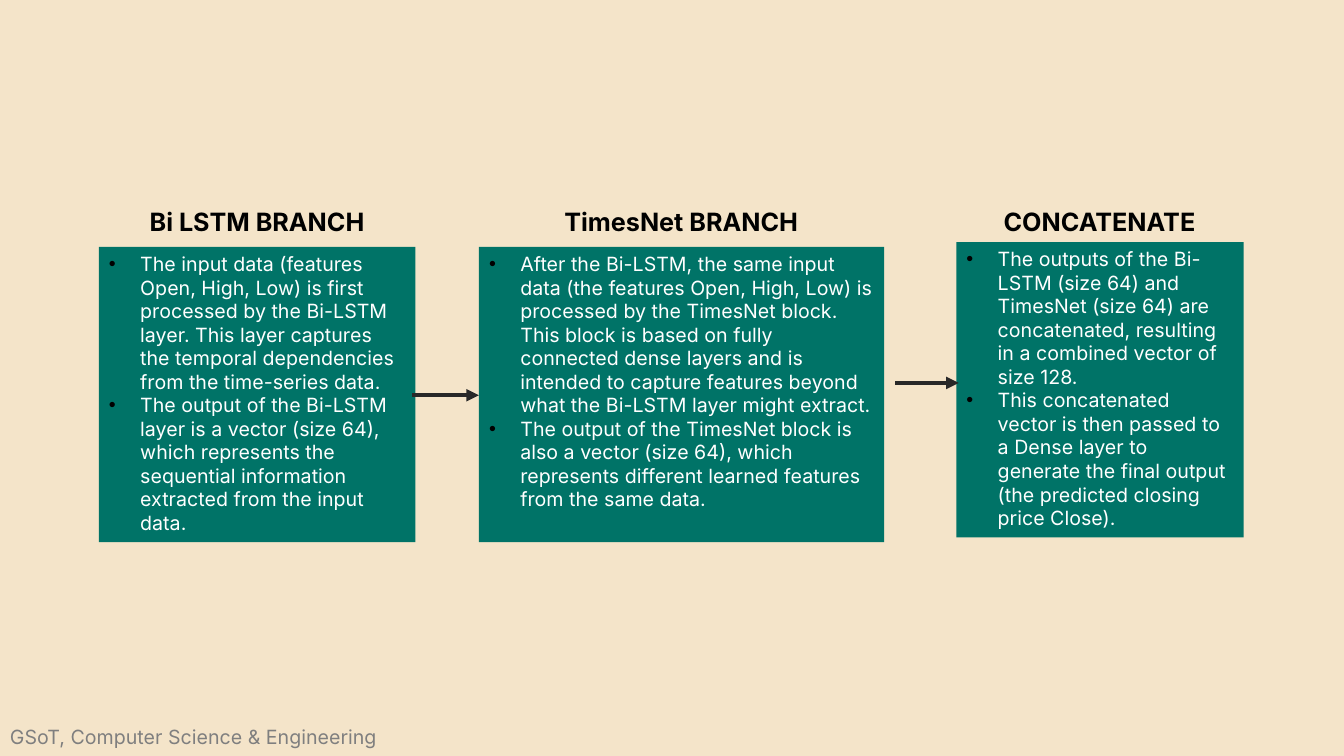
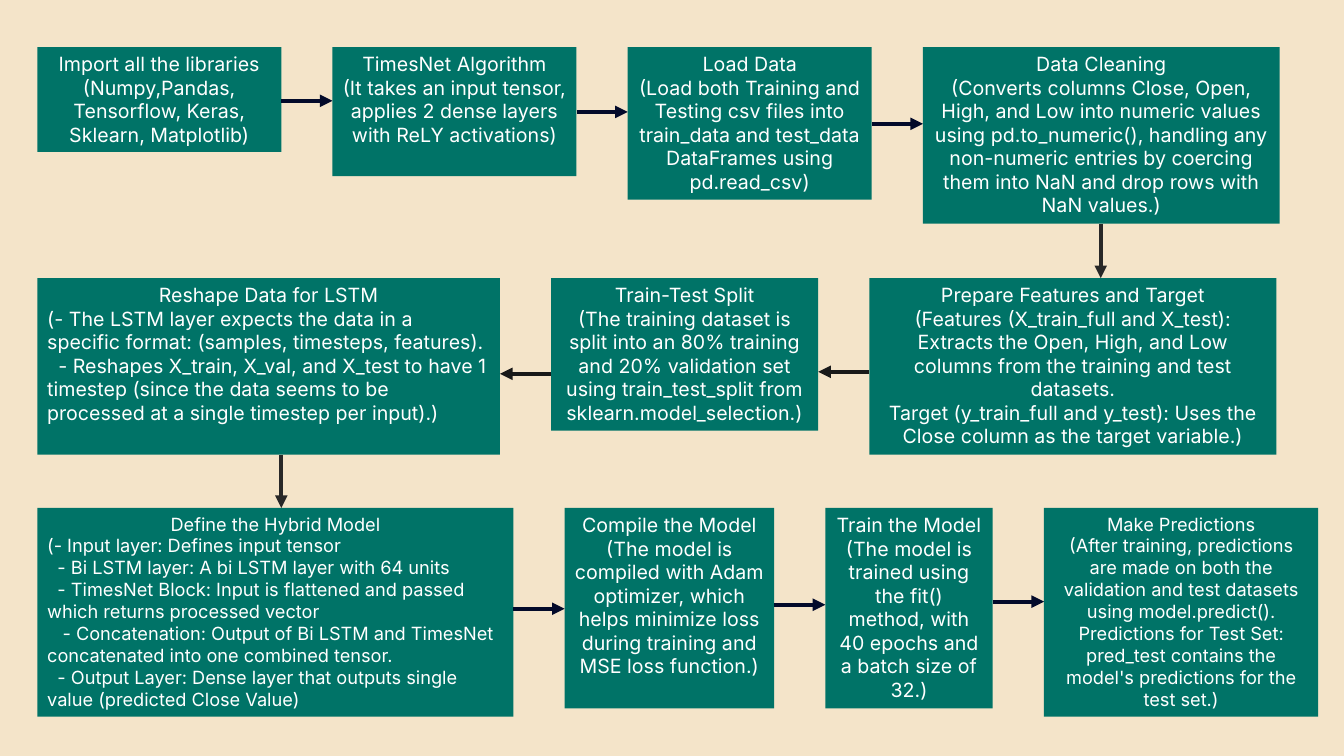
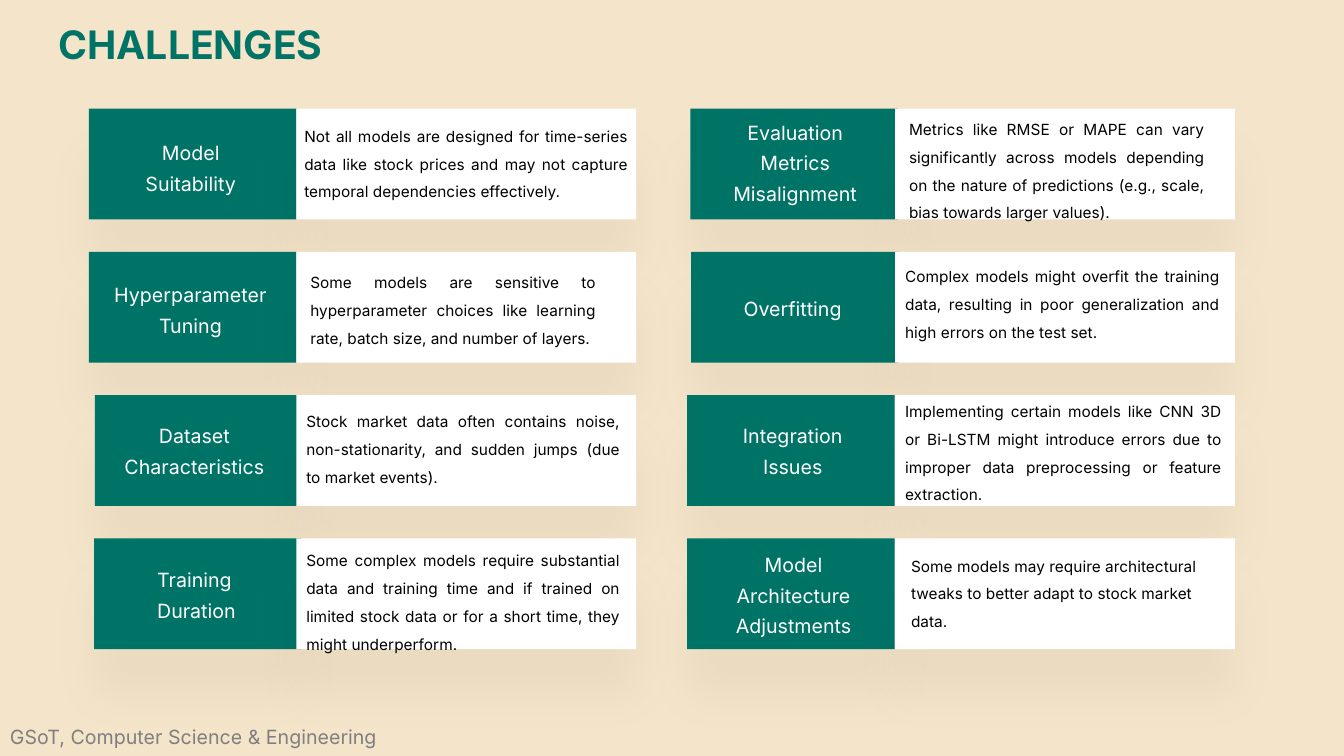
from dataclasses import dataclass

from lxml.etree import SubElement
from pptx import Presentation
from pptx.dml.color import RGBColor
from pptx.enum.shapes import MSO_CONNECTOR, MSO_SHAPE
from pptx.enum.text import MSO_ANCHOR, MSO_AUTO_SIZE, PP_ALIGN
from pptx.oxml.ns import qn
from pptx.util import Cm, Pt

# Shared look
FONT = "Inter"
SAND = RGBColor(0xF4, 0xE4, 0xC9)
GREEN = RGBColor(0x00, 0x73, 0x67)
WHITE = RGBColor(0xFF, 0xFF, 0xFF)
BLACK = RGBColor(0x00, 0x00, 0x00)
GRAY = RGBColor(0x7F, 0x7F, 0x7F)
NAVY = RGBColor(0x03, 0x0A, 0x2A)
COAL = RGBColor(0x28, 0x28, 0x28)
INK = RGBColor(0x19, 0x19, 0x19)
FOOTER = "GSoT, Computer Science & Engineering"
LEFT, MID, FULL = PP_ALIGN.LEFT, PP_ALIGN.CENTER, PP_ALIGN.JUSTIFY


@dataclass(frozen=True)
class Style:
    size: float
    color: RGBColor
    align: PP_ALIGN = LEFT
    bold: bool = False
    space: float = 1.0


@dataclass(frozen=True)
class Area:
    """A frame in centimetres."""
    x: float
    y: float
    w: float
    h: float

    def cm(self) -> tuple:
        return Cm(self.x), Cm(self.y), Cm(self.w), Cm(self.h)


@dataclass(frozen=True)
class Branch:
    head: str
    head_x: float
    area: Area
    points: tuple


@dataclass(frozen=True)
class Step:
    """A flow box; link is the height of the arrow to its right."""
    w: float
    h: float
    link: float
    lines: tuple
    size: float = 14
    dents: tuple = ()


@dataclass(frozen=True)
class Row:
    top: float
    color: RGBColor
    back: bool
    steps: tuple


@dataclass(frozen=True)
class Spot:
    """A text place on a card; dy is measured from the card top."""
    x: float
    dy: float
    w: float
    align: PP_ALIGN


@dataclass(frozen=True)
class Card:
    tag_x: float
    label: str
    label_at: Spot
    note: str
    note_at: Spot


# Drawing helpers
def write(frame, lines: tuple, style: Style) -> None:
    frame.word_wrap = True
    frame.auto_size = MSO_AUTO_SIZE.NONE
    frame.vertical_anchor = MSO_ANCHOR.TOP
    frame.text = "\n".join(lines)
    for para in frame.paragraphs:
        para.alignment = style.align
        para.line_spacing = style.space
        para.space_before = Pt(0)
        for run in para.runs:
            font = run.font
            font.name, font.size, font.bold = FONT, Pt(style.size), style.bold
            font.color.rgb = style.color


def add_text(slide, area: Area, text: str, style: Style) -> None:
    write(slide.shapes.add_textbox(*area.cm()).text_frame, (text,), style)


def add_block(slide, area: Area, color: RGBColor, shade: bool = False):
    block = slide.shapes.add_shape(MSO_SHAPE.RECTANGLE, *area.cm())
    block.fill.solid()
    block.fill.fore_color.rgb = color
    block.line.fill.background()
    block.shadow.inherit = False
    if shade:
        effect = block._element.spPr.find(qn("a:effectLst"))
        cast = SubElement(effect, qn("a:outerShdw"), blurRad=str(Pt(33)),
                          dist=str(Pt(33)), dir="5400000", algn="t", rotWithShape="0")
        tint = SubElement(cast, qn("a:srgbClr"), val=str(BLACK))
        SubElement(tint, qn("a:alpha"), val="4000")
    return block


def add_arrow(slide, x1: float, y1: float, x2: float, y2: float, color: RGBColor) -> None:
    arrow = slide.shapes.add_connector(
        MSO_CONNECTOR.STRAIGHT, Cm(x1), Cm(y1), Cm(x2), Cm(y2))
    arrow.line.color.rgb = color
    arrow.line.width = Pt(3)
    SubElement(arrow.line._get_or_add_ln(), qn("a:tailEnd"), type="triangle")
    SubElement(arrow._element.spPr, qn("a:effectLst"))


def add_points(frame, points: tuple) -> None:
    write(frame, points, Style(14, WHITE))
    for para in frame.paragraphs:
        props = para._p.get_or_add_pPr()
        props.set("marL", str(Cm(0.79)))
        props.set("indent", str(-Cm(0.79)))
        tint = SubElement(props, qn("a:buClr"))
        SubElement(tint, qn("a:srgbClr"), val=str(BLACK))
        SubElement(props, qn("a:buFont"), typeface="Arial")
        SubElement(props, qn("a:buChar"), char="•")


def add_title(slide, text: str) -> None:
    title = slide.shapes.title
    title.left, title.top, title.width, title.height = Area(1.22, 0.38, 23.14, 1.8).cm()
    write(title.text_frame, (text,), Style(28, GREEN, bold=True))


def add_footer(slide) -> None:
    add_text(slide, Area(0, 18.14, 13.31, 0.86), FOOTER, Style(14, GRAY))


# Slide 1: model branches
BRANCHES = (
    Branch("Bi LSTM BRANCH", 3.23, Area(2.49, 6.22, 7.98, 7.44), (
        "The input data (features Open, High, Low) is first processed by the Bi-LSTM layer. "
        "This layer captures the temporal dependencies from the time-series data.",
        "The output of the Bi-LSTM layer is a vector (size 64), which represents the "
        "sequential information extracted from the input data.")),
    Branch("TimesNet BRANCH", 13.92, Area(12.07, 6.22, 10.21, 7.44), (
        "After the Bi-LSTM, the same input data (the features Open, High, Low) is processed "
        "by the TimesNet block. This block is based on fully connected dense layers and is "
        "intended to capture features beyond what the Bi-LSTM layer might extract.",
        "The output of the TimesNet block is also a vector (size 64), which represents "
        "different learned features from the same data.")),
    Branch("CONCATENATE", 24.46, Area(24.1, 6.1, 7.24, 7.44), (
        "The outputs of the Bi-LSTM (size 64) and TimesNet (size 64) are concatenated, "
        "resulting in a combined vector of size 128.",
        "This concatenated vector is then passed to a Dense layer to generate the final "
        "output (the predicted closing price Close).")),
)


def draw_model(deck) -> None:
    slide = deck.slides.add_slide(deck.slide_layouts.get_by_name("Comparison"))
    slots = list(slide.placeholders)
    lists = slots[1:1 + len(BRANCHES)]
    for slot in slots[:1] + slots[1 + len(BRANCHES):]:
        slot._element.getparent().remove(slot._element)
    for branch, body in zip(BRANCHES, lists):
        body.left, body.top, body.width, body.height = branch.area.cm()
        body.fill.solid()
        body.fill.fore_color.rgb = GREEN
        add_points(body.text_frame, branch.points)
        add_text(slide, Area(branch.head_x, 5.08, 6.5, 1.02), branch.head,
                 Style(18, BLACK, MID, bold=True))
    add_arrow(slide, 10.39, 9.96, 12.07, 9.96, COAL)
    add_arrow(slide, 22.56, 9.65, 24.16, 9.65, COAL)
    add_footer(slide)


# Slide 2: work flow, each row from left to right
EDGE, GAP = 0.94, 1.29
ROWS = (
    Row(1.19, NAVY, False, (
        Step(6.15, 2.64, 2.54, (
            "Import all the libraries",
            "(Numpy,Pandas, Tensorflow, Keras, Sklearn, Matplotlib)")),
        Step(6.15, 3.25, 2.82, (
            "TimesNet Algorithm",
            "(It takes an input tensor, applies 2 dense layers with ReLY activations)")),
        Step(6.15, 3.84, 3.12, (
            "Load Data",
            "(Load both Training and Testing csv files into train_data and test_data "
            "DataFrames using pd.read_csv)")),
        Step(8.99, 4.45, 0, (
            "Data Cleaning",
            "(Converts columns Close, Open, High, and Low into numeric values using "
            "pd.to_numeric(), handling any non-numeric entries by coercing them into NaN "
            "and drop rows with NaN values.)")))),
    Row(7.01, INK, True, (
        Step(11.66, 4.45, 9.42, (
            "Reshape Data for LSTM",
            "(- The LSTM layer expects the data in a specific format: "
            "(samples, timesteps, features).",
            "- Reshapes X_train, X_val, and X_test to have 1 timestep (since the data "
            "seems to be processed at a single timestep per input).)"),
            dents=(0, 0.28)),
        Step(6.73, 3.84, 9.37, (
            "Train-Test Split",
            "(The training dataset is split into an 80% training and 20% validation set "
            "using train_test_split from sklearn.model_selection.)")),
        Step(10.26, 4.45, 0, (
            "Prepare Features and Target",
            "(Features (X_train_full and X_test): Extracts the Open, High, and Low columns "
            "from the training and test datasets.",
            "Target (y_train_full and y_test): Uses the Close column as the target "
            "variable.)")))),
    Row(12.8, NAVY, False, (
        Step(12.0, 5.26, 15.34, (
            "Define the Hybrid Model",
            "(- Input layer: Defines input tensor",
            "- Bi LSTM layer: A bi LSTM layer with 64 units",
            "- TimesNet Block: Input is flattened and passed which returns processed vector",
            "- Concatenation: Output of Bi LSTM and TimesNet concatenated into one "
            "combined tensor.",
            "- Output Layer: Dense layer that outputs single value (predicted Close Value)"),
            13, (0, 0.26, 0.26, 0.39, 0.26)),
        Step(5.28, 5.05, 15.24, (
            "Compile the Model",
            "(The model is compiled with Adam optimizer, which helps minimize loss during "
            "training and MSE loss function.)")),
        Step(4.22, 5.05, 15.16, (
            "Train the Model",
            "(The model is trained using the fit() method, with 40 epochs and a batch size "
            "of 32.)")),
        Step(6.91, 5.26, 0, (
            "Make Predictions",
            "(After training, predictions are made on both the validation and test datasets "
            "using model.predict().",
            "Predictions for Test Set: pred_test contains the model's predictions for the "
            "test set.)"), 13))),
)


def draw_step(slide, step: Step, x: float, y: float) -> None:
    frame = add_block(slide, Area(x, y, step.w, step.h), GREEN).text_frame
    write(frame, step.lines, Style(step.size, WHITE, MID))
    for para, dent in zip(frame.paragraphs[1:], step.dents):
        para.alignment = LEFT
        para._p.get_or_add_pPr().set("indent", str(Cm(dent)))


def draw_flow(deck) -> None:
    slide = deck.slides.add_slide(deck.slide_layouts.get_by_name("Blank"))
    for row in ROWS:
        x = EDGE
        for step in row.steps:
            draw_step(slide, step, x, row.top)
            x += step.w
            if step.link:
                start, end = (x + GAP, x) if row.back else (x, x + GAP)
                add_arrow(slide, start, step.link, end, step.link, row.color)
            x += GAP
    # Turns between rows
    for x, above, below in ((27.74, ROWS[0], ROWS[1]), (7.09, ROWS[1], ROWS[2])):
        add_arrow(slide, x, above.top + above.steps[0 if above.back else -1].h,
                  x, below.top, COAL)


# Slide 3: challenges, two cards a row
CARD_TOP, PITCH, CARD_H = 2.74, 3.61, 2.79
PANEL_X, PANEL_W, TAG_W = (7.47, 22.56), 8.56, 5.23
CARDS = (
    Card(2.24, "Model Suitability", Spot(3.02, 0.51, 3.58, MID),
         "Not all models are designed for time-series data like stock prices and may not "
         "capture temporal dependencies effectively.", Spot(7.42, 0.1, 8.66, FULL)),
    Card(17.4, "Evaluation Metrics Misalignment", Spot(18.11, 0, 3.86, MID),
         "Metrics like RMSE or MAPE can vary significantly across models depending on the "
         "nature of predictions (e.g., scale, bias towards larger values).",
         Spot(22.66, -0.07, 7.95, FULL)),
    Card(2.24, "Hyperparameter Tuning", Spot(2.41, 0.48, 4.78, MID),
         "Some models are sensitive to hyperparameter choices like learning rate, batch "
         "size, and number of layers.", Spot(7.57, 0.18, 7.7, FULL)),
    Card(17.42, "Overfitting", Spot(18.49, 0.84, 3.58, LEFT),
         "Complex models might overfit the training data, resulting in poor generalization "
         "and high errors on the test set.", Spot(22.56, 0.03, 8.43, FULL)),
    Card(2.39, "Dataset Characteristics", Spot(2.74, 0.43, 4.32, MID),
         "Stock market data often contains noise, non-stationarity, and sudden jumps (due "
         "to market events).", Spot(7.47, 0.07, 8.41, FULL)),
    Card(17.32, "Integration Issues", Spot(18.19, 0.43, 3.58, MID),
         "Implementing certain models like CNN 3D or Bi-LSTM might introduce errors due to "
         "improper data preprocessing or feature extraction.",
         Spot(22.56, -0.18, 8.48, FULL)),
    Card(2.37, "Training Duration", Spot(3.71, 0.45, 3.58, LEFT),
         "Some complex models require substantial data and training time and if trained on "
         "limited stock data or for a short time, they might underperform.",
         Spot(7.47, -0.03, 8.41, FULL)),
    Card(17.32, "Model Architecture Adjustments", Spot(18.21, 0.07, 3.58, MID),
         "Some models may require architectural tweaks to better adapt to stock market "
         "data.", Spot(22.71, 0.1, 8.41, LEFT)),
)


def draw_card(slide, card: Card, x: float, y: float) -> None:
    add_block(slide, Area(card.tag_x, y, TAG_W, CARD_H), GREEN, shade=True)
    add_block(slide, Area(x, y, PANEL_W, CARD_H), WHITE, shade=True)
    for spot, text, size, color, space in (
            (card.label_at, card.label, 14, WHITE, 1.3),
            (card.note_at, card.note, 11, BLACK, 1.5)):
        add_text(slide, Area(spot.x, y + spot.dy, spot.w, 1.73), text,
                 Style(size, color, spot.align, space=space))


def draw_risks(deck) -> None:
    slide = deck.slides.add_slide(deck.slide_layouts.get_by_name("Title Only"))
    add_title(slide, "CHALLENGES")
    for place, card in enumerate(CARDS):
        row, col = divmod(place, 2)
        draw_card(slide, card, PANEL_X[col], CARD_TOP + row * PITCH)
    add_footer(slide)


def main() -> None:
    deck = Presentation()
    deck.slide_width, deck.slide_height = Cm(33.87), Cm(19.05)
    ground = deck.slide_master.background.fill
    ground.solid()
    ground.fore_color.rgb = SAND
    draw_model(deck)
    draw_flow(deck)
    draw_risks(deck)
    deck.save("out.pptx")


if __name__ == "__main__":
    main()
